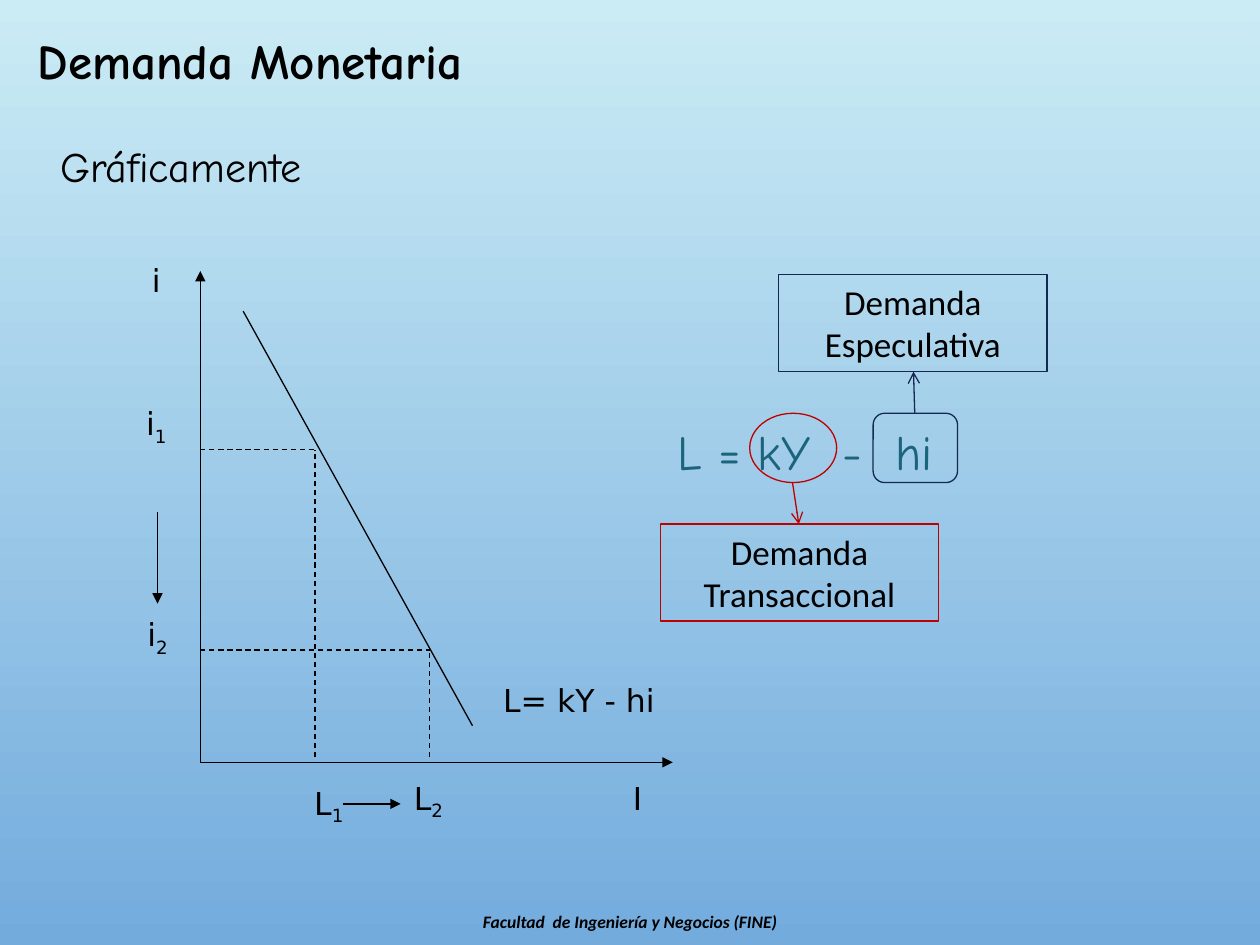
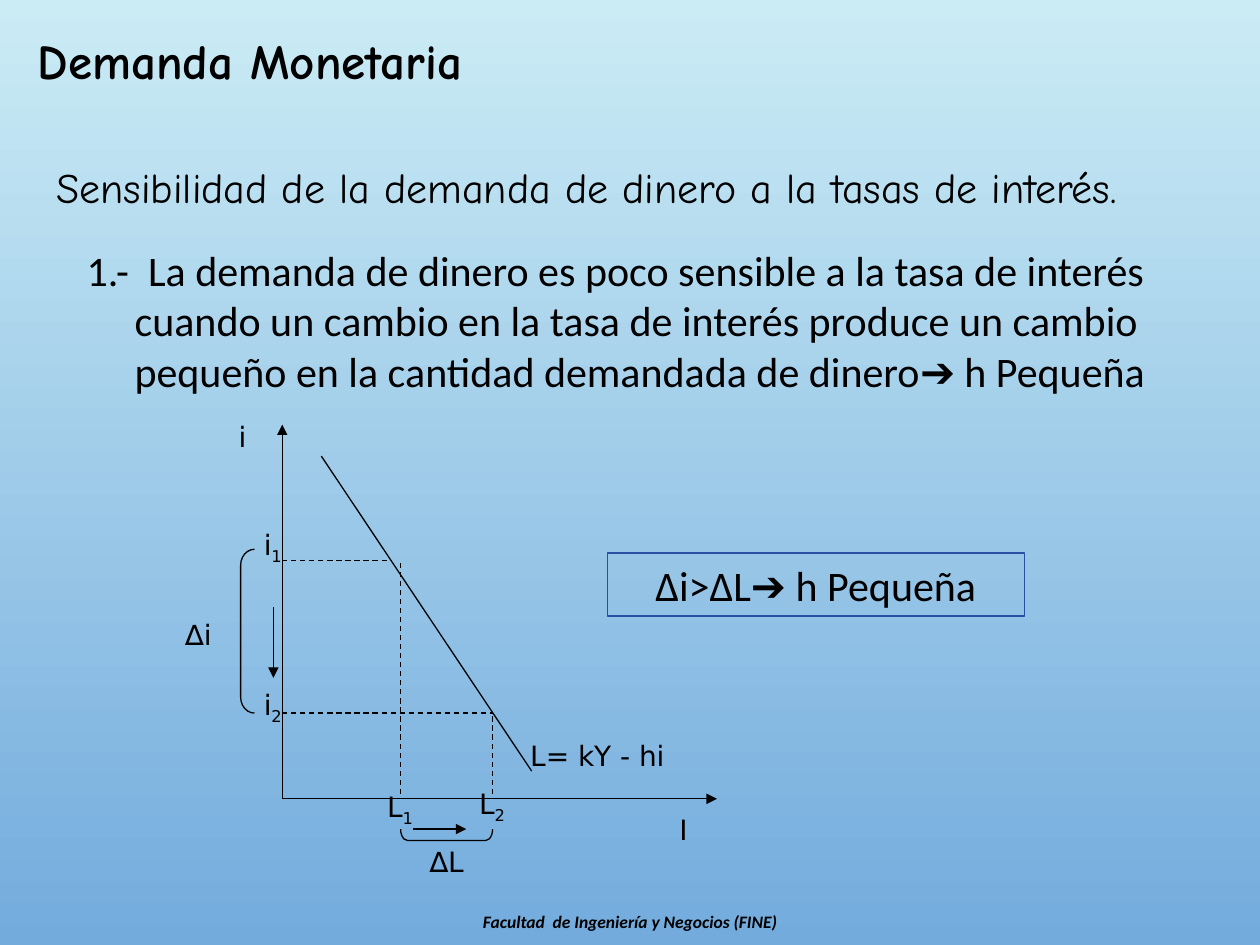
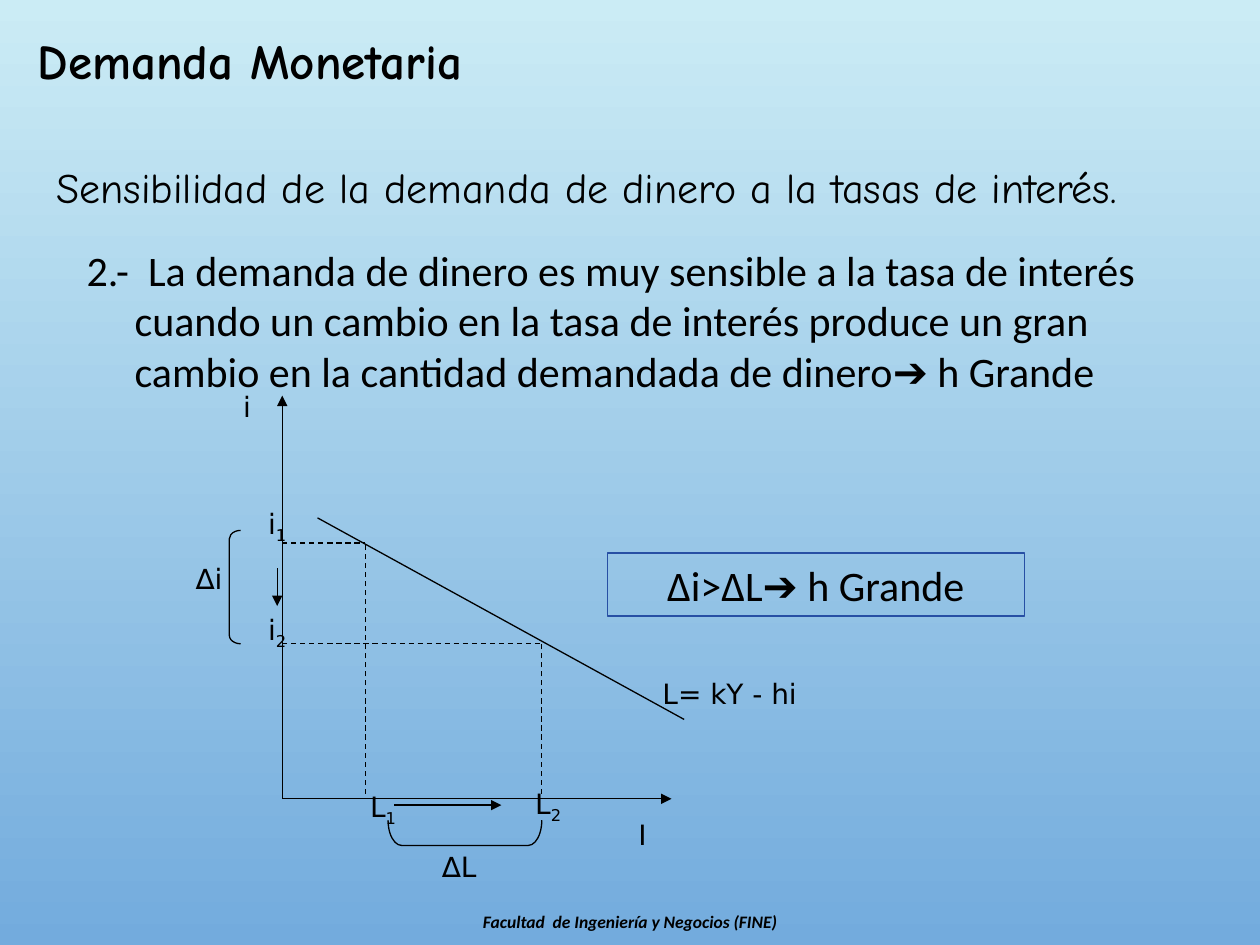
from dataclasses import dataclass

from lxml.etree import SubElement
from pptx import Presentation
from pptx.dml.color import RGBColor
from pptx.enum.dml import MSO_LINE
from pptx.enum.shapes import MSO_CONNECTOR, MSO_SHAPE
from pptx.enum.text import MSO_ANCHOR, MSO_AUTO_SIZE, PP_ALIGN
from pptx.oxml.ns import qn
from pptx.util import Inches, Pt

# Shared look
BLACK, NAVY, BLUE, RED, TEAL = "000000", "142852", "274FA4", "C00000", "1C647B"
SKY_TOP, SKY_BOTTOM = "CBECF5", "73ABDD"
HAND, BODY, GRAPH = "Comic Neue", "Calibri", "DejaVu Sans"
TITLE = "Demanda Monetaria"
FOOTER = "Facultad  de Ingeniería y Negocios (FINE)"
SENSITIVITY = "Sensibilidad de la demanda de dinero a la tasas de interés."
HANGING = 0.38
GUIDE_GAP = 0.04


@dataclass
class DemandGraph:
    origin: tuple
    top: float         # end of the interest axis
    right: float       # end of the money axis
    curve: tuple       # x1, y1, x2, y2
    guides: tuple      # x, y, end of the horizontal guide
    moves: tuple       # arrows between the two equilibria
    labels: tuple      # text, left, top, width
    curve_label: tuple
    size: int
    curve_align: PP_ALIGN = PP_ALIGN.LEFT
    brackets: tuple = ()  # left, top, width, height, curvature, rotation


def rgb(hex_colour):
    return RGBColor.from_string(hex_colour)


def box(left, top, width, height):
    return [Inches(v) for v in (left, top, width, height)]


def add_run(p, text, size, font, colour=BLACK, bold=False, italic=False):
    r = p.add_run()
    r.text = text
    r.font.size, r.font.name = Pt(size), font
    r.font.bold, r.font.italic = bold, italic
    r.font.color.rgb = rgb(colour)
    return r


def setup_frame(sp, align=PP_ALIGN.LEFT, anchor=MSO_ANCHOR.TOP):
    """Prepare the text frame and return its first paragraph."""
    tf = sp.text_frame
    tf.word_wrap, tf.auto_size = True, MSO_AUTO_SIZE.NONE
    tf.vertical_anchor = anchor
    p = tf.paragraphs[0]
    p.alignment = align
    return p


def add_text(s, place, text, size, font, colour=BLACK, align=PP_ALIGN.LEFT,
             anchor=MSO_ANCHOR.TOP, bold=False, italic=False):
    p = setup_frame(s.shapes.add_textbox(*box(*place)), align, anchor)
    add_run(p, text, size, font, colour, bold, italic)
    return p


def add_label(s, text, place, size, align=PP_ALIGN.CENTER):
    """Graph label; what follows an underscore is a subscript."""
    base, _, sub = text.partition("_")
    p = add_text(s, place, base, size, GRAPH, align=align)
    if sub:
        r = add_run(p, sub, size, GRAPH)
        r._r.get_or_add_rPr().set("baseline", "-25000")


def add_outline(s, kind, place, colour=BLACK):
    sp = s.shapes.add_shape(kind, *box(*place))
    sp.shadow.inherit = False
    sp.fill.background()
    sp.line.color.rgb = rgb(colour)
    sp.line.width = Pt(0.75)
    return sp


def add_framed_text(s, place, text, size, colour):
    sp = add_outline(s, MSO_SHAPE.RECTANGLE, place, colour)
    add_run(setup_frame(sp, PP_ALIGN.CENTER), text, size, BODY)


def add_line(s, x1, y1, x2, y2, colour=BLACK, head=None, dashed=False):
    line = s.shapes.add_connector(MSO_CONNECTOR.STRAIGHT, *box(x1, y1, x2, y2))
    line.line.color.rgb = rgb(colour)
    line.line.width = Pt(0.75)
    if dashed:
        line.line.dash_style = MSO_LINE.DASH
    if head:
        SubElement(line.line._get_or_add_ln(), qn("a:tailEnd"), type=head)
    SubElement(line._element.spPr, qn("a:effectLst"))


def add_graph(s, g):
    x0, y0 = g.origin
    # Axes and demand curve
    add_line(s, x0, y0, x0, g.top, head="triangle")
    add_line(s, x0, y0, g.right, y0, head="triangle")
    add_line(s, *g.curve)
    # Equilibria and the moves between them
    for x, y, end in g.guides:
        add_line(s, x0, y, end, y, dashed=True)
        add_line(s, x, y0 - GUIDE_GAP, x, y, dashed=True)
    for move in g.moves:
        add_line(s, *move, head="triangle")
    for *place, curvature, rotation in g.brackets:
        sp = add_outline(s, MSO_SHAPE.LEFT_BRACKET, place)
        sp.adjustments[0] = curvature
        sp.rotation = rotation
    # Labels
    for text, left, top, width in g.labels:
        add_label(s, text, (left, top, width, 0.4), g.size)
    add_label(s, "L= kY - hi", (*g.curve_label, 0.4), g.size, g.curve_align)


def add_slide(prs):
    s = prs.slides.add_slide(prs.slide_layouts[5])
    title = s.shapes.title
    title.left, title.top, title.width, title.height = box(0.2, 0.19, 6.83, 0.57)
    add_run(setup_frame(title), TITLE, 28, HAND, bold=True)
    add_text(s, (2.56, 7.18, 4.88, 0.27), FOOTER, 10, BODY,
             align=PP_ALIGN.CENTER, bold=True, italic=True)
    return s


def add_formula(s):
    add_text(s, (5.28, 3.21, 2.4, 0.65), "L = kY  -  hi", 28, HAND, TEAL,
             anchor=MSO_ANCHOR.BOTTOM)
    # Transactional part
    add_outline(s, MSO_SHAPE.OVAL, (5.95, 3.28, 0.69, 0.55), RED)
    add_line(s, 6.29, 3.83, 6.34, 4.16, RED, "arrow")
    add_framed_text(s, (5.24, 4.16, 2.21, 0.77), "Demanda Transaccional", 20, RED)
    # Speculative part
    add_outline(s, MSO_SHAPE.ROUNDED_RECTANGLE, (6.93, 3.28, 0.67, 0.55), NAVY)
    add_line(s, 7.26, 3.28, 7.25, 2.95, NAVY, "arrow")
    add_framed_text(s, (6.18, 2.18, 2.13, 0.77), "Demanda Especulativa", 20, NAVY)


def add_sensitivity_slide(prs, statement, conclusion, graph):
    s = add_slide(prs)
    add_text(s, (0.35, 1.02, 9.37, 0.71), SENSITIVITY, 24, HAND,
             anchor=MSO_ANCHOR.BOTTOM)
    p = add_text(s, (0.59, 1.89, 9.06, 1.31), statement, 24, BODY)
    pPr = p._p.get_or_add_pPr()
    pPr.set("marL", str(Inches(HANGING)))
    pPr.set("indent", str(-Inches(HANGING)))
    add_graph(s, graph)
    add_framed_text(s, (4.82, 4.39, 3.31, 0.5), conclusion, 24, BLUE)


BASIC = DemandGraph(
    origin=(1.59, 6.05), top=2.15, right=5.34, curve=(1.93, 2.47, 3.75, 5.76),
    guides=((2.5, 3.57, 2.5), (3.41, 5.16, 3.41)),
    moves=((1.25, 4.06, 1.25, 4.79), (2.72, 6.38, 3.18, 6.38)),
    labels=(("i", 0.9, 2.02, 0.68), ("I", 3.98, 6.13, 2.16),
            ("i_1", 0.9, 3.16, 0.68), ("i_2", 0.91, 4.83, 0.68),
            ("L_1", 1.93, 6.17, 1.36), ("L_2", 2.72, 6.13, 1.36)),
    curve_label=(3.29, 5.36, 2.61), size=18, curve_align=PP_ALIGN.CENTER)

LOW = DemandGraph(
    origin=(2.24, 6.34), top=3.37, right=5.69, curve=(2.55, 3.62, 4.22, 6.12),
    guides=((3.18, 4.45, 3.07), (3.91, 5.66, 3.91)),
    moves=((2.17, 4.82, 2.17, 5.38), (3.28, 6.58, 3.7, 6.58)),
    labels=(("i", 1.61, 3.28, 0.63), ("I", 4.43, 6.4, 1.99),
            ("i_1", 1.85, 4.14, 0.63), ("i_2", 1.85, 5.41, 0.63),
            ("L_1", 2.55, 6.22, 1.25), ("L_2", 3.28, 6.19, 1.25),
            ("∆i", 1.31, 4.85, 0.53), ("∆L", 2.34, 6.65, 2.41)),
    curve_label=(4.11, 5.81, 1.52), size=16,
    brackets=((1.91, 4.36, 0.11, 1.3, 1.15, 0),
              (3.5, 6.26, 0.09, 0.73, 0.59, 270)))

HIGH = DemandGraph(
    origin=(2.24, 6.34), top=3.14, right=5.33, curve=(2.52, 4.11, 5.43, 5.71),
    guides=((2.9, 4.31, 2.9), (4.3, 5.11, 4.3)),
    moves=((2.2, 4.51, 2.2, 4.81), (3.13, 6.39, 3.98, 6.39)),
    labels=(("i", 1.68, 3.04, 0.56), ("I", 4.21, 6.44, 1.78),
            ("i_1", 1.92, 3.97, 0.56), ("i_2", 1.92, 4.81, 0.56),
            ("L_1", 2.48, 6.22, 1.12), ("L_2", 3.79, 6.19, 1.12),
            ("∆i", 1.4, 4.41, 0.52), ("∆L", 2.57, 6.69, 2.15)),
    curve_label=(5.16, 5.32, 1.44), size=16,
    brackets=((1.82, 4.21, 0.09, 0.9, 0.74, 0),
              (3.59, 6, 0.2, 1.22, 0.54, 270)))


def main():
    prs = Presentation()
    prs.slide_width, prs.slide_height = Inches(10), Inches(7.5)

    # Sky gradient behind every slide
    fill = prs.slide_master.background.fill
    fill.gradient()
    fill.gradient_angle = 270
    for stop, colour in zip(fill.gradient_stops, (SKY_TOP, SKY_BOTTOM)):
        stop.color.rgb = rgb(colour)

    # Money demand and its parts
    s = add_slide(prs)
    add_text(s, (0.38, 1.07, 9, 0.63), "Gráficamente", 24, HAND)
    add_graph(s, BASIC)
    add_formula(s)

    # Low and high sensitivity to the interest rate
    add_sensitivity_slide(
        prs,
        "1.-  La demanda de dinero es poco sensible a la tasa de interés  "
        "cuando un cambio en la tasa de interés produce un cambio pequeño "
        "en la cantidad demandada de dinero➔ h Pequeña",
        "∆i>∆L➔ h Pequeña", LOW)
    add_sensitivity_slide(
        prs,
        "2.-  La demanda de dinero es muy sensible a la tasa de interés  "
        "cuando un cambio en la tasa de interés produce un gran cambio "
        "en la cantidad demandada de dinero➔ h Grande",
        "∆i>∆L➔ h Grande", HIGH)

    prs.save("out.pptx")


if __name__ == "__main__":
    main()
